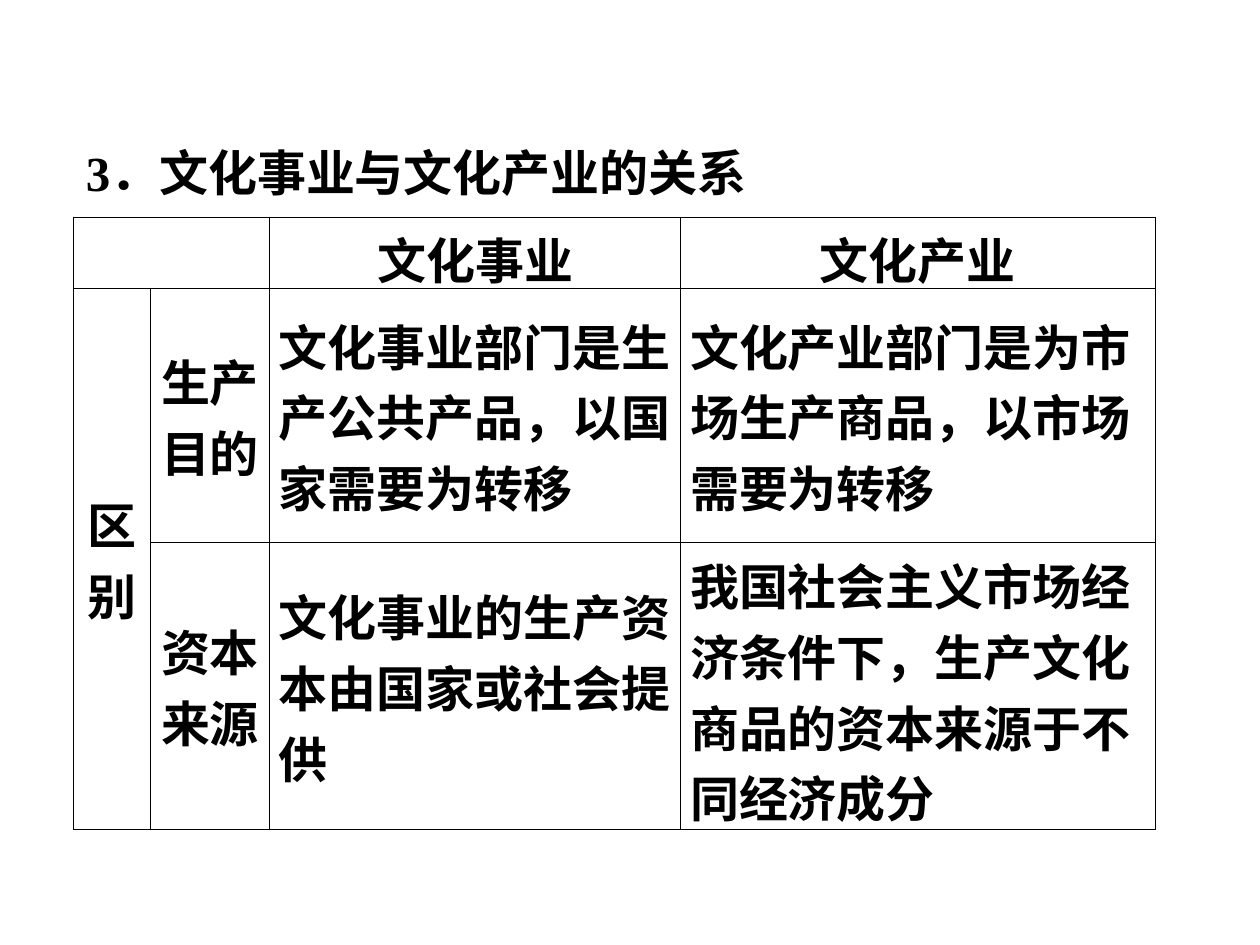
from dataclasses import dataclass

from lxml.etree import SubElement
from pptx import Presentation
from pptx.dml.color import RGBColor
from pptx.enum.text import MSO_ANCHOR as Anchor, MSO_AUTO_SIZE as AutoSize, PP_ALIGN as Align
from pptx.oxml.ns import qn
from pptx.slide import Slide
from pptx.util import Pt


def color(value):
    return RGBColor.from_string(value)


@dataclass
class SlideBuilder:
    """Hold the slide's style and add its elements."""

    slide: Slide
    font: str = "Times New Roman"
    size: float = 28
    ink: str = "000000"
    border: float = 0.45

    def add_text(self, frame, text, align):
        paragraph = frame.paragraphs[0]
        paragraph.alignment = align
        run = paragraph.add_run()
        run.text = text
        run.font.name = self.font
        run.font.size = Pt(self.size)
        run.font.bold = True
        run.font.color.rgb = color(self.ink)

    def heading(self, text, left, top, width, height):
        shape = self.slide.shapes.add_textbox(Pt(left), Pt(top), Pt(width), Pt(height))
        frame = shape.text_frame
        frame.word_wrap = True
        frame.auto_size = AutoSize.SHAPE_TO_FIT_TEXT
        self.add_text(frame, text, Align.JUSTIFY)

    def outline(self, cell):
        properties = cell._tc.get_or_add_tcPr()
        for side in ("lnL", "lnR", "lnT", "lnB"):
            line = SubElement(properties, qn(f"a:{side}"), w=str(Pt(self.border)))
            fill = SubElement(line, qn("a:solidFill"))
            SubElement(fill, qn("a:srgbClr"), val=self.ink)

    def table(self, rows, left, top, widths, heights, merges, label_columns):
        shape = self.slide.shapes.add_table(
            len(heights), len(widths), Pt(left), Pt(top), Pt(sum(widths)), Pt(sum(heights))
        )
        table = shape.table
        table.first_row = table.horz_banding = False
        for column, width in zip(table.columns, widths):
            column.width = Pt(width)
        for row, height in zip(table.rows, heights):
            row.height = Pt(height)
        for first, last in merges:
            table.cell(*first).merge(table.cell(*last))
        for row_index, texts in enumerate(rows):
            for column_index, text in enumerate(texts):
                cell = table.cell(row_index, column_index)
                self.outline(cell)
                cell.fill.background()
                cell.vertical_anchor = Anchor.MIDDLE
                cell.margin_left = cell.margin_right = Pt(5.4)
                cell.margin_top = cell.margin_bottom = Pt(3.6)
                if text:
                    is_label = row_index == 0 or column_index < label_columns
                    self.add_text(cell.text_frame, text, Align.CENTER if is_label else Align.LEFT)


def main():
    presentation = Presentation()
    presentation.slide_width, presentation.slide_height = Pt(720), Pt(540)
    builder = SlideBuilder(presentation.slides.add_slide(presentation.slide_layouts[6]))
    builder.heading("3．文化事业与文化产业的关系", 42, 78, 426, 41)
    builder.table(
        rows=[
            ["", "", "文化事业", "文化产业"],
            [
                "区别",
                "生产目的",
                "文化事业部门是生产公共产品，以国家需要为转移",
                "文化产业部门是为市场生产商品，以市场需要为转移",
            ],
            [
                "",
                "资本来源",
                "文化事业的生产资本由国家或社会提供",
                "我国社会主义市场经济条件下，生产文化商品的资本来源于不同经济成分",
            ],
        ],
        left=42,
        top=124,
        widths=[44, 68, 235, 271],
        heights=[41, 145, 164],
        merges=[((0, 0), (0, 1)), ((1, 0), (2, 0))],
        label_columns=2,
    )
    presentation.save("out.pptx")


if __name__ == "__main__":
    main()
